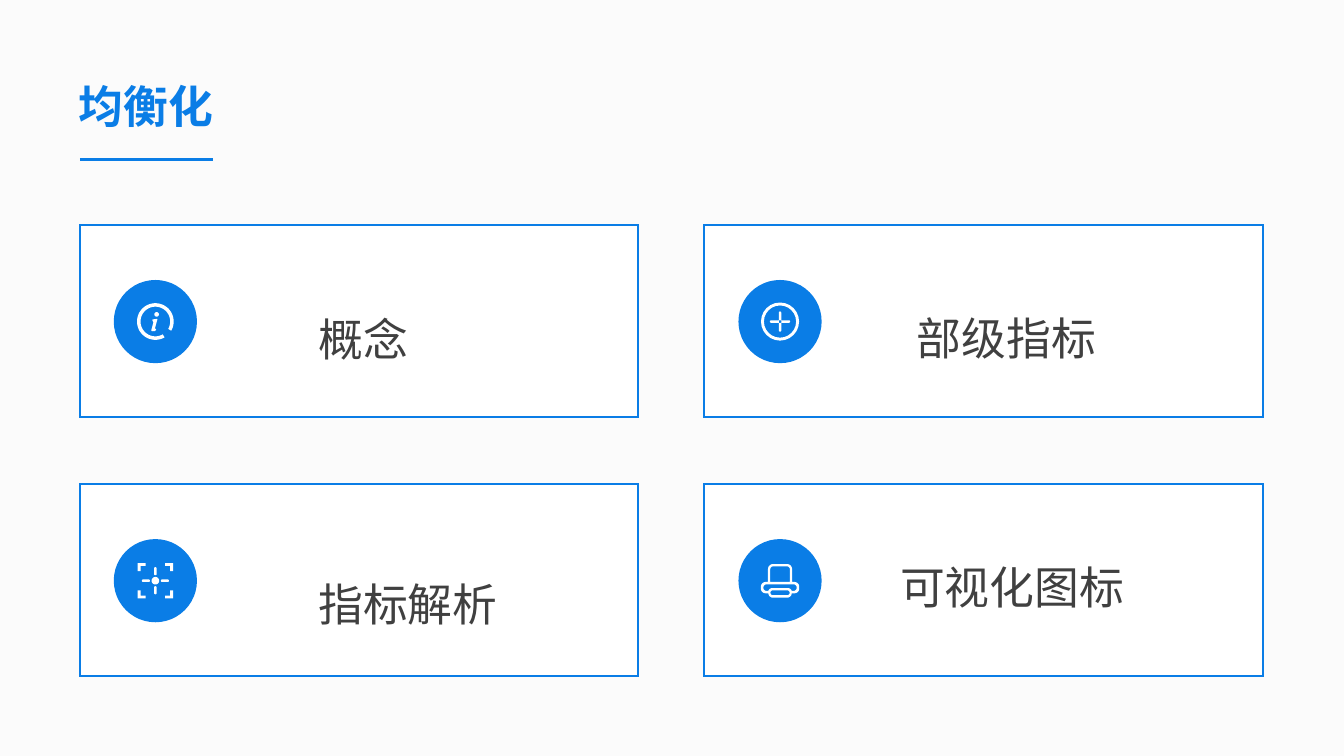
"""Build the 均衡化 overview slide: a heading and four icon cards."""
from dataclasses import dataclass
from itertools import product
from math import cos, dist, radians, sin
from typing import Any

from lxml.etree import SubElement
from pptx import Presentation
from pptx.dml.color import RGBColor
from pptx.enum.shapes import MSO_CONNECTOR, MSO_SHAPE
from pptx.enum.text import MSO_AUTO_SIZE, PP_ALIGN
from pptx.oxml.ns import qn
from pptx.util import Pt

BLUE = "0A7DE6"
WHITE = "FFFFFF"
DARK_GREY = "404040"
BACKGROUND = "FBFBFB"
FONT = "Noto Sans CJK SC"

CARD_LEFT, CARD_TOP = 57, 160.5
CARD_WIDTH, CARD_HEIGHT = 399, 137.5
COLUMN_STEP, ROW_STEP = 446.2, 185.1
BADGE_X, BADGE_Y, BADGE_SIZE = 54, 69.2, 59.4

Point = tuple[float, float]
Corner = tuple[float, float, float]
Contour = list[Point]


@dataclass(frozen=True)
class Card:
    column: int
    row: int
    label: str
    label_left: float
    label_top: float
    label_width: float
    icon: list[Contour]


def color(value: str) -> RGBColor:
    return RGBColor.from_string(value)


def style(shape: Any, fill: str, line: str | None = None, weight: float = 1.5) -> None:
    shape.shadow.inherit = False
    shape.fill.solid()
    shape.fill.fore_color.rgb = color(fill)
    if line:
        shape.line.color.rgb = color(line)
        shape.line.width = Pt(weight)
        SubElement(shape._element.spPr.find(qn("a:ln")), qn("a:miter"), lim="800000")
    else:
        shape.line.fill.background()


def add_box(shapes: Any, kind: MSO_SHAPE, left: float, top: float, width: float,
            height: float, **formatting: Any) -> None:
    style(shapes.add_shape(kind, Pt(left), Pt(top), Pt(width), Pt(height)), **formatting)


def add_line(shapes: Any, start: Point, end: Point, line: str, weight: float) -> None:
    connector = shapes.add_connector(MSO_CONNECTOR.STRAIGHT, *map(Pt, start + end))
    connector.line.color.rgb = color(line)
    connector.line.width = Pt(weight)
    SubElement(connector._element.spPr, qn("a:effectLst"))


def add_text(shapes: Any, text: str, *, left: float, top: float, width: float, height: float,
             size: float = 32, text_color: str = DARK_GREY, bold: bool = False,
             line_spacing: float | None = None, alignment: PP_ALIGN | None = None) -> None:
    frame = shapes.add_textbox(Pt(left), Pt(top), Pt(width), Pt(height)).text_frame
    frame.word_wrap = True
    frame.auto_size = MSO_AUTO_SIZE.SHAPE_TO_FIT_TEXT
    paragraph = frame.paragraphs[0]
    paragraph.line_spacing = line_spacing
    paragraph.alignment = alignment
    run = paragraph.add_run()
    run.text = text
    run.font.size = Pt(size)
    run.font.bold = bold
    run.font.color.rgb = color(text_color)
    run.font.name = FONT
    SubElement(run.font._element, qn("a:ea"), typeface=FONT)


def rounded(corners: list[Corner], steps: int = 6) -> Contour:
    points: Contour = []
    for index, (x, y, radius) in enumerate(corners):
        if not radius:
            points.append((x, y))
            continue
        following = corners[(index + 1) % len(corners)]
        offsets = []
        for neighbour in (corners[index - 1], following):
            share = radius / dist((x, y), neighbour[:2])
            offsets.append(((neighbour[0] - x) * share, (neighbour[1] - y) * share))
        for step in range(steps + 1):
            t = step / steps
            before = (1 - t) ** 3 + 3 * (1 - t) ** 2 * t * 0.45
            after = t ** 3 + 3 * t ** 2 * (1 - t) * 0.45
            points.append((x + before * offsets[0][0] + after * offsets[1][0],
                           y + before * offsets[0][1] + after * offsets[1][1]))
    return points


def mirrored(right_half: list[Corner]) -> Contour:
    return rounded(right_half + [(-x, y, radius) for x, y, radius in reversed(right_half)])


def bar(x: float, y: float, width: float, height: float) -> Contour:
    radius = min(width, height) / 2
    half = [(width / 2, -height / 2, radius), (width / 2, height / 2, radius)]
    return [(x + across, y + down) for across, down in mirrored(half)]


def arc(radius: float, start: int, end: int) -> Contour:
    step = 6 if end > start else -6
    return [(radius * cos(radians(angle)), radius * sin(radians(angle)))
            for angle in range(start, end + step, step)]


def add_icon(shapes: Any, x: float, y: float, contours: list[Contour]) -> None:
    placed = [[(Pt(x + across), Pt(y + down)) for across, down in contour]
              for contour in contours]
    builder = shapes.build_freeform(*placed[0][0])
    for index, contour in enumerate(placed):
        if index:
            builder.move_to(*contour[0])
        builder.add_line_segments(contour[1:], close=True)
    style(builder.convert_to_shape(), WHITE)


INFO = [
    arc(13.1, 60, 390) + arc(10.6, 390, 60),
    bar(0.9, -5.1, 3.2, 3.2),
    rounded([(-2.5, -1.4, 0.8), (1.6, -2, 0.8), (-0.3, 4.9, 0), (0.7, 5.7, 0.5),
             (-0.3, 6.9, 0.5), (-3.1, 7, 1), (-1.4, 0.6, 0)]),
]
PLUS = [bar(0, 0, 27.2, 27.2), bar(0, 0, 23, 23), bar(0, 0, 14.4, 1.8), bar(0, 0, 1.8, 14.4)]
TARGET = [
    *[[(across * x, down * y) for x, y in
       ((12.6, 12.6), (12.6, 6.9), (10.6, 6.9), (10.6, 10.6), (6.9, 10.6), (6.9, 12.6))]
      for across, down in product((-1, 1), repeat=2)],
    *[bar(side * 6.8, 0, 5.8, 1.8) for side in (-1, 1)],
    *[bar(0, side * 6.8, 1.8, 5.8) for side in (-1, 1)],
    bar(0, 0, 5.4, 5.4),
]
PRINTER = [
    mirrored([(8.6, -11.9, 3.6), (8.6, 0.9, 0), (13.7, 0.9, 3.4), (13.7, 9, 3.4),
              (8.4, 9, 0), (7.6, 12.1, 2.4)]),
    mirrored([(7, -10.2, 2), (7, 0.9, 0)]),
    mirrored([(11.9, 2.6, 2.2), (11.9, 7.3, 2.2), (8.4, 7.3, 0), (7.4, 5.3, 1.6)]),
    bar(0, 8.6, 13.8, 3.4),
]

CARDS = (
    Card(0, 0, "概念", 220.3, 211.7, 113, INFO),
    Card(1, 0, "部级指标", 647.8, 211, 199.4, PLUS),
    Card(0, 1, "指标解析", 220.3, 401, 167.8, TARGET),
    Card(1, 1, "可视化图标", 635.8, 388.8, 225.4, PRINTER),
)


def add_card(shapes: Any, card: Card) -> None:
    left = CARD_LEFT + card.column * COLUMN_STEP
    top = CARD_TOP + card.row * ROW_STEP
    add_box(shapes, MSO_SHAPE.RECTANGLE, left, top, CARD_WIDTH, CARD_HEIGHT,
            fill=WHITE, line=BLUE)
    badge = shapes.add_group_shape().shapes
    x, y = left + BADGE_X, top + BADGE_Y
    add_box(badge, MSO_SHAPE.OVAL, x - BADGE_SIZE / 2, y - BADGE_SIZE / 2,
            BADGE_SIZE, BADGE_SIZE, fill=BLUE)
    add_icon(badge, x, y, card.icon)
    add_text(shapes, card.label, left=card.label_left, top=card.label_top,
             width=card.label_width, height=49.7, line_spacing=1.2)


def main() -> None:
    presentation = Presentation()
    presentation.slide_width, presentation.slide_height = Pt(960), Pt(540)
    slide = presentation.slides.add_slide(presentation.slide_layouts[6])
    slide.background.fill.solid()
    slide.background.fill.fore_color.rgb = color(BACKGROUND)
    for card in CARDS:
        add_card(slide.shapes, card)
    add_text(slide.shapes, "均衡化", left=49, top=52.6, width=209.5, height=46,
             text_color=BLUE, bold=True, alignment=PP_ALIGN.JUSTIFY)
    add_line(slide.shapes, (57, 113.8), (152.4, 113.8), BLUE, 2)
    presentation.save("out.pptx")


if __name__ == "__main__":
    main()
